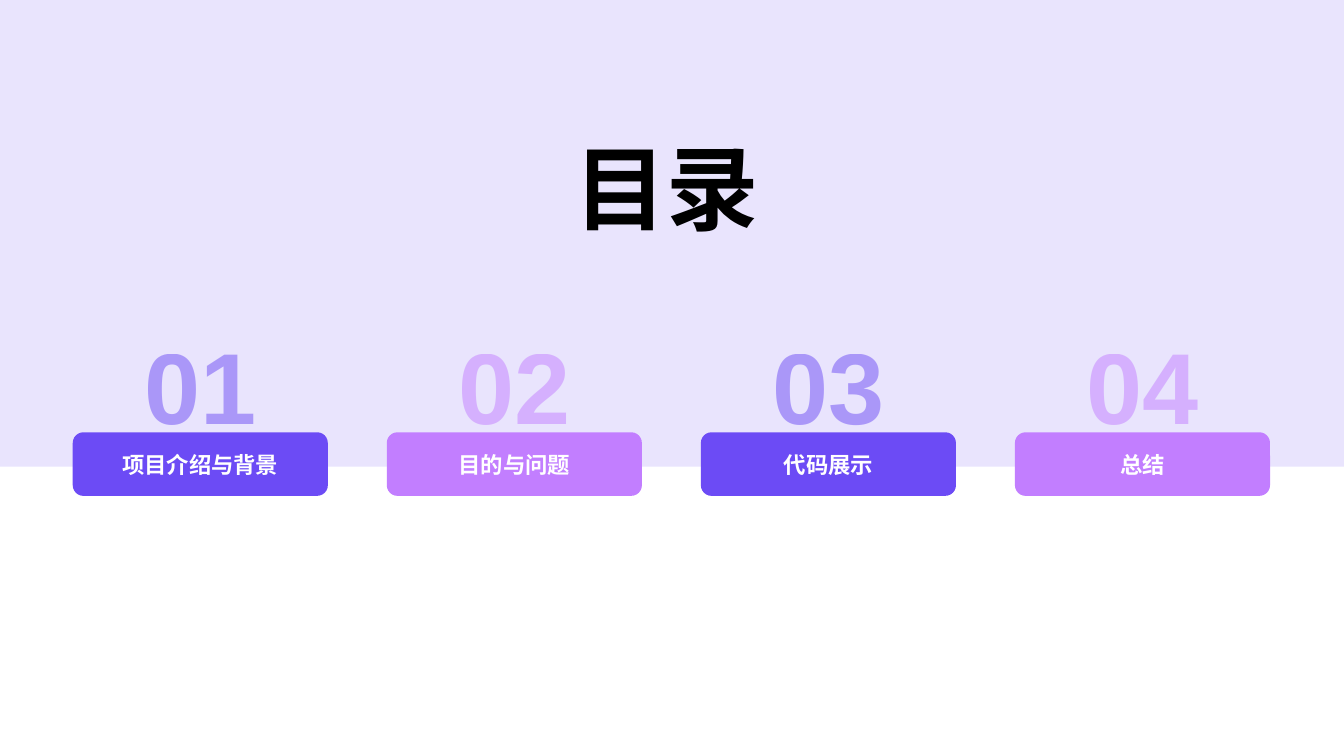
import lxml.etree
import pptx
import pptx.dml.color
import pptx.enum.shapes
import pptx.enum.text
import pptx.oxml.ns
import pptx.util

Pt = pptx.util.Pt
ANCHOR = pptx.enum.text.MSO_ANCHOR
SHAPE = pptx.enum.shapes.MSO_SHAPE
VIOLET, ORCHID = "6C4BF5", "C27EFF"
ENTRIES = ["项目介绍与背景", "目的与问题", "代码展示", "总结"]


def paint(fill, color, opacity=100):
    """Give a fill a solid colour with an opacity in percent."""
    fill.solid()
    fill.fore_color.rgb = pptx.dml.color.RGBColor.from_string(color)
    if opacity < 100:
        for node in fill._xPr.iter(pptx.oxml.ns.qn("a:srgbClr")):
            alpha = lxml.etree.SubElement(node, pptx.oxml.ns.qn("a:alpha"))
            alpha.set("val", str(opacity * 1000))


def place(shape, box):
    """Move a shape to a box of left, top, width and height in points."""
    shape.left, shape.top, shape.width, shape.height = map(Pt, box)


def write(shape, text, size, color, opacity=100, anchor=ANCHOR.MIDDLE,
          insets=(7.2, 3.6, 7.2, 3.6), wrap=False):
    """Write one centred bold line into a shape."""
    frame = shape.text_frame
    frame.word_wrap = wrap
    frame.auto_size = (pptx.enum.text.MSO_AUTO_SIZE.NONE if wrap
                       else pptx.enum.text.MSO_AUTO_SIZE.SHAPE_TO_FIT_TEXT)
    frame.vertical_anchor = anchor
    (frame.margin_left, frame.margin_top,
     frame.margin_right, frame.margin_bottom) = map(Pt, insets)
    para = frame.paragraphs[0]
    para.alignment = pptx.enum.text.PP_ALIGN.CENTER
    span = para.add_run()
    span.text = text
    span.font.name = "Arial"
    span.font.size = Pt(size)
    span.font.bold = True
    paint(span.font.fill, color, opacity)


def add_block(page, kind, box, color, opacity=100):
    """Add a flat filled shape without outline."""
    block = page.shapes.add_shape(kind, *map(Pt, box))
    block.shadow.inherit = False
    block.line.fill.background()
    paint(block.fill, color, opacity)
    return block


def add_header(page, box):
    """Fill the top band and set the title in it."""
    left, top, width, height = box
    band = add_block(page, SHAPE.RECTANGLE, box, VIOLET, 15)
    title = page.shapes.title
    title.element.addprevious(band.element)
    place(title, (left + width / 2 - 70.3, top + 89.3, 140.4, 87.1))
    write(title, "目录", 66, "000000", anchor=ANCHOR.BOTTOM,
          insets=(0, 3.6, 7.2, 3.6))


def add_entry(page, box, number, label, color):
    """Draw a pale number standing on a labelled button."""
    left, top, width, height = box
    digits = page.shapes.add_textbox(
        *map(Pt, (left + width / 2 - 47.5, top, 95, 94.3)))
    write(digits, f"{number:02d}", 72, color, 50)
    button_height = 45.4
    button = add_block(
        page, SHAPE.ROUNDED_RECTANGLE,
        (left, top + height - button_height, width, button_height), color)
    write(button, label, 16, "FFFFFF", insets=(8.6, 4.3, 8.6, 4.3), wrap=True)


def add_contents(page, box):
    """Spread the entries evenly over the box in alternating colours."""
    left, top, width, height = box
    entry_width = 182.2
    pitch = (width - entry_width) / (len(ENTRIES) - 1)
    for index, label in enumerate(ENTRIES):
        add_entry(page, (left + index * pitch, top, entry_width, height),
                  index + 1, label, (VIOLET, ORCHID)[index % 2])


def main():
    """Build the contents slide and save it."""
    deck = pptx.Presentation()
    deck.slide_width, deck.slide_height = Pt(960), Pt(540)
    page = deck.slides.add_slide(deck.slide_layouts.get_by_name("Title Only"))
    add_header(page, (0, 0, 960, 333.4))
    add_contents(page, (52, 227.5, 855.2, 126.7))
    deck.save("out.pptx")


if __name__ == "__main__":
    main()
